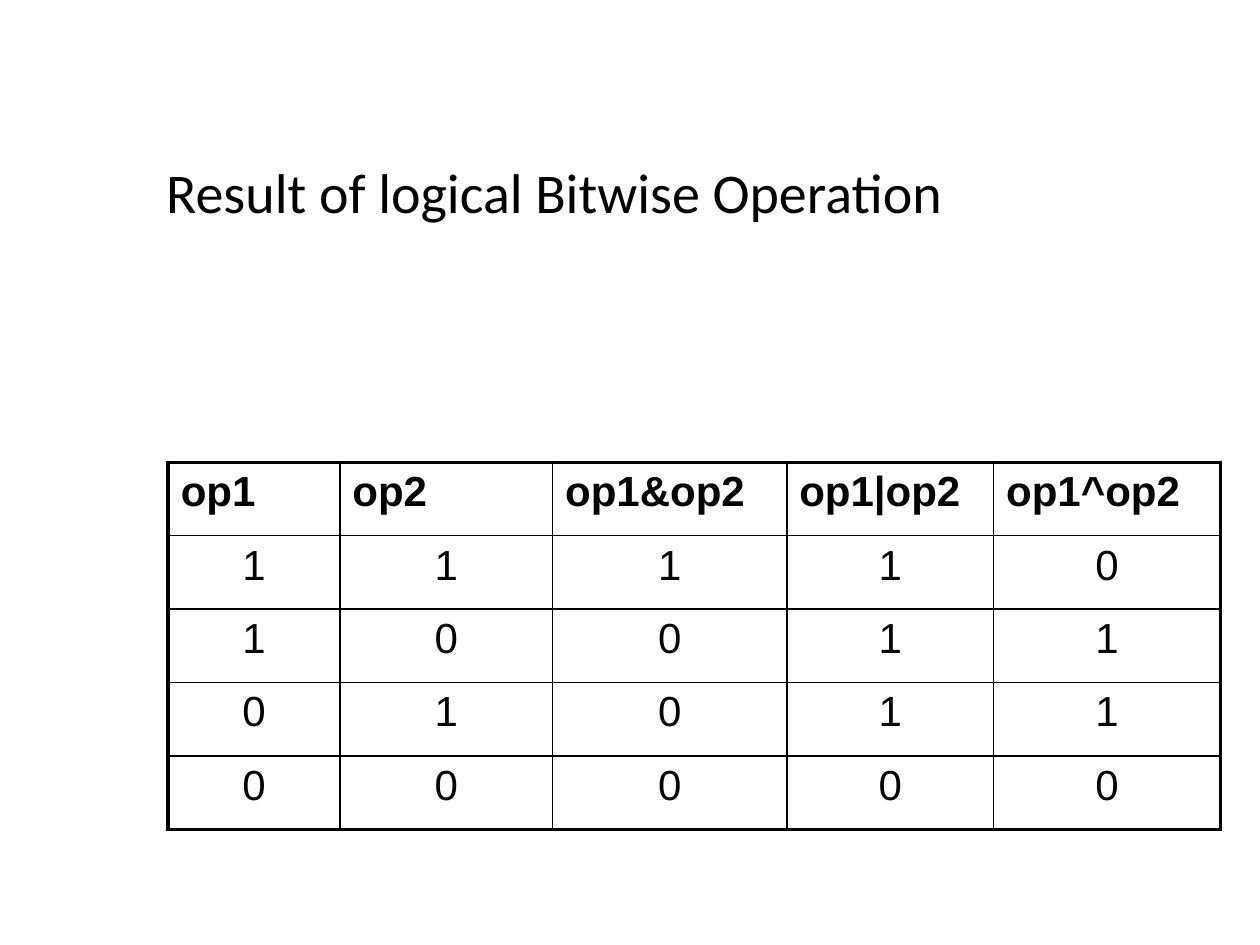
"""Build a slide with a truth table of the bitwise operators."""
from lxml.etree import SubElement
from pptx import Presentation
from pptx.dml.color import RGBColor
from pptx.enum.text import MSO_ANCHOR, PP_ALIGN
from pptx.oxml.ns import qn
from pptx.util import Cm, Pt

COLORS = {"ink": "000000", "paper": "FFFFFF"}


def write(frame, text, font="Arial", size=24, bold=False, align=PP_ALIGN.LEFT, before=0, line=1.0):
    para = frame.paragraphs[0]
    para.alignment = align
    para.space_before = Pt(before)
    para.line_spacing = line
    run = para.add_run()
    run.text = text
    run.font.name = font
    run.font.size = Pt(size)
    run.font.bold = bold
    run.font.color.rgb = RGBColor.from_string(COLORS["ink"])


def border(cell, side, width):
    props = cell._tc.get_or_add_tcPr()
    edge = SubElement(props, qn(f"a:ln{side}"), w=str(Pt(width)))
    fill = SubElement(edge, qn("a:solidFill"))
    SubElement(fill, qn("a:srgbClr"), val=COLORS["ink"])


deck = Presentation()
deck.slide_width, deck.slide_height = Cm(25.4), Cm(19.05)
slide = deck.slides.add_slide(deck.slide_layouts[5])
slide.background.fill.solid()
slide.background.fill.fore_color.rgb = RGBColor.from_string(COLORS["paper"])

title = slide.shapes.title
title.left, title.top, title.width, title.height = Cm(1.27), Cm(2.34), Cm(22.86), Cm(3.18)
frame = title.text_frame
frame.margin_left = Cm(2.08)
frame.vertical_anchor = MSO_ANCHOR.MIDDLE
write(frame, "Result of logical Bitwise Operation", font="Calibri", size=32, line=0.9)

heads = ["op1", "op2", "op1&op2", "op1|op2", "op1^op2"]
pairs = [(1, 1), (1, 0), (0, 1), (0, 0)]
rows = [heads] + [[a, b, a & b, a | b, a ^ b] for a, b in pairs]
widths = [3.46, 4.29, 4.72, 4.17, 4.57]
height = 1.48
last_row, last_col = len(rows) - 1, len(heads) - 1

grid = slide.shapes.add_table(len(rows), len(heads), Cm(3.39), Cm(9.32),
                              Cm(sum(widths)), Cm(height * len(rows))).table
grid.first_row = grid.horz_banding = False
for col, width in zip(grid.columns, widths):
    col.width = Cm(width)

for r, row in enumerate(rows):
    grid.rows[r].height = Cm(height)
    for c, value in enumerate(row):
        cell = grid.cell(r, c)
        head = r == 0
        write(cell.text_frame, str(value), bold=head, before=4.8,
              align=PP_ALIGN.LEFT if head else PP_ALIGN.CENTER)
        outer = {"L": c == 0, "R": c == last_col, "T": head, "B": r == last_row}
        for side, thick in outer.items():
            border(cell, side, 2.25 if thick else 1)
        cell.fill.background()

deck.save("out.pptx")
